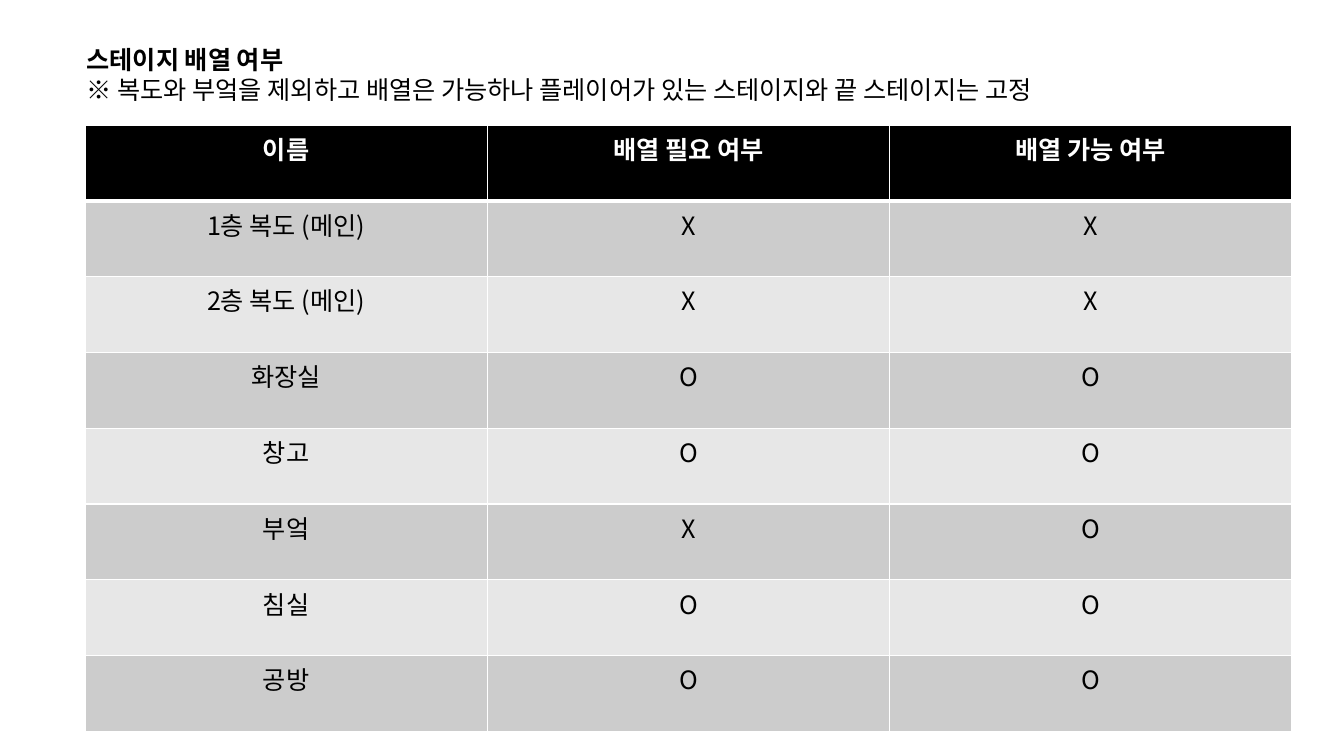
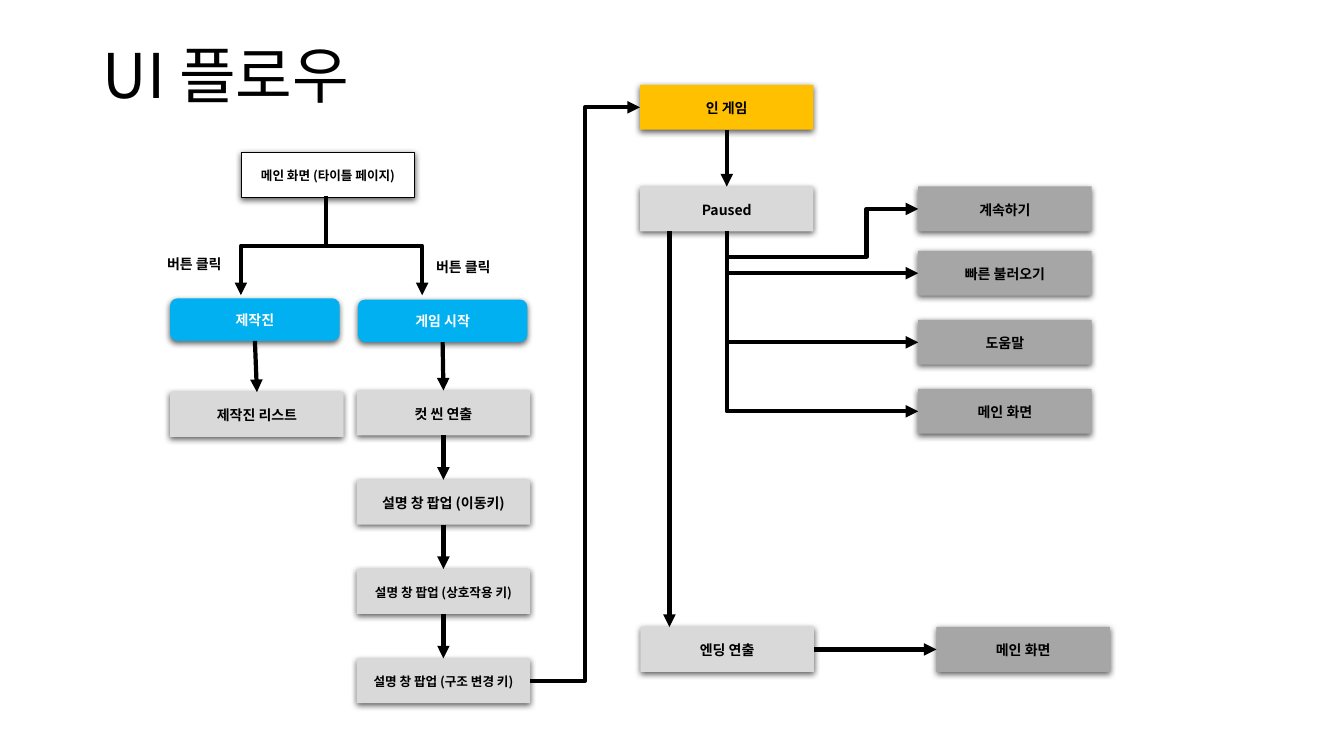
"""Build the stage arrangement table and the UI flow chart."""
from dataclasses import dataclass

from pptx import Presentation
from pptx.dml.color import RGBColor
from pptx.enum.shapes import MSO_CONNECTOR, MSO_SHAPE
from pptx.enum.text import MSO_ANCHOR, PP_ALIGN
from pptx.oxml import parse_xml
from pptx.oxml.ns import nsdecls, qn
from pptx.oxml.xmlchemy import OxmlElement
from pptx.util import Cm, Pt

FONT = "Noto Sans CJK KR"
BLACK, WHITE = "000000", "FFFFFF"
STRIPES = ("CCCCCC", "E7E7E7")
STEP, MENU, BUTTON, GAME = "D9D9D9", "A6A6A6", "00B0F0", "FFC000"
RECT, ROUNDED = MSO_SHAPE.RECTANGLE, MSO_SHAPE.ROUNDED_RECTANGLE
STRAIGHT, ELBOW = MSO_CONNECTOR.STRAIGHT, MSO_CONNECTOR.ELBOW
CENTER, MIDDLE = PP_ALIGN.CENTER, MSO_ANCHOR.MIDDLE
TOP, LEFT, BOTTOM, RIGHT = range(4)
BOX_W, BOX_H = 4.37, 1.13
COLUMN_W, ROW_H = 10.14, 1.91

STAGE_ROWS = (
    ("이름", "배열 필요 여부", "배열 가능 여부"),
    ("1층 복도 (메인)", "X", "X"),
    ("2층 복도 (메인)", "X", "X"),
    ("화장실", "O", "O"),
    ("창고", "O", "O"),
    ("부엌", "X", "O"),
    ("침실", "O", "O"),
    ("공방", "O", "O"),
)


@dataclass(frozen=True)
class Node:
    """One box of the flow chart, in centimetres."""
    label: str
    left: float
    top: float
    fill: str = STEP
    size: float = 10
    width: float = BOX_W
    height: float = BOX_H
    geometry: int = RECT
    color: str = BLACK
    outline: str = ""

    def side(self, index):
        """Return the middle of one side."""
        across = {LEFT: 0, RIGHT: self.width}.get(index, self.width / 2)
        down = {TOP: 0, BOTTOM: self.height}.get(index, self.height / 2)
        return self.left + across, self.top + down


@dataclass(frozen=True)
class Link:
    """A straight arrow between two named nodes."""
    start: str
    end: str
    start_side: int = BOTTOM
    end_side: int = TOP


def button(label, left, top):
    """Return a rounded blue button."""
    return Node(label, left, top, BUTTON, 10, 4.27, 1.07, ROUNDED, WHITE)


MENU_ITEMS = {
    "continue": Node("계속하기", 23.14, 4.7, MENU),
    "load": Node("빠른 불러오기", 23.14, 6.32, MENU),
    "help": Node("도움말", 23.14, 8.06, MENU),
    "quit": Node("메인 화면", 23.14, 9.8, MENU),
}
CUT_STEPS = {
    name: Node(label, 8.99, 9.84 + 2.25 * index, size=size)
    for index, (name, label, size) in enumerate((
        ("cut", "컷 씬 연출", 10),
        ("move", "설명 창 팝업 (이동키)", 10),
        ("interact", "설명 창 팝업 (상호작용 키)", 9),
        ("structure", "설명 창 팝업 (구조 변경 키)", 9),
    ))
}
NODES = {
    "title": Node("메인 화면 (타이틀 페이지)", 6.08, 3.84, WHITE, 9, outline=BLACK),
    "credits": button("제작진", 4.29, 7.52),
    "start": button("게임 시작", 9.02, 7.55),
    "credit_list": Node("제작진 리스트", 4.29, 9.88),
    **CUT_STEPS,
    "game": Node("인 게임", 16.13, 2.14, GAME),
    "paused": Node("Paused", 16.13, 4.7),
    **MENU_ITEMS,
    "ending": Node("엔딩 연출", 16.14, 15.8),
    "finish": Node("메인 화면", 23.6, 15.8, MENU),
}
LINKS = (
    Link("credits", "credit_list"),
    Link("start", "cut"),
    Link("cut", "move"),
    Link("move", "interact"),
    Link("interact", "structure"),
    Link("game", "paused"),
    Link("ending", "finish", RIGHT, LEFT),
)


def rgb(value: str) -> RGBColor:
    """Turn a hex string into a colour."""
    return RGBColor.from_string(value)


def style(paragraph, size: float, color: str = BLACK, bold: bool = False) -> None:
    """Format every run of a paragraph."""
    for run in paragraph.runs:
        font = run.font
        font.size, font.bold, font.name = Pt(size), bold, FONT
        font.color.rgb = rgb(color)
        east_asian = OxmlElement("a:ea")
        east_asian.set("typeface", FONT)
        run.font._element.find(qn("a:latin")).addnext(east_asian)


def add_text(slide, text: str, left: float, top: float, width: float, height: float,
             size: float, bold_first: bool = False):
    """Add a wrapping text box and return its text frame."""
    frame = slide.shapes.add_textbox(Cm(left), Cm(top), Cm(width), Cm(height)).text_frame
    frame.word_wrap = True
    frame.text = text
    for index, paragraph in enumerate(frame.paragraphs):
        style(paragraph, size, bold=bold_first and index == 0)
    return frame


def set_border(cell, side: str, points: float) -> None:
    """Draw one white cell border."""
    cell._tc.get_or_add_tcPr().append(parse_xml(
        f'<a:{side} {nsdecls("a")} w="{Pt(points)}"><a:solidFill>'
        f'<a:srgbClr val="{WHITE}"/></a:solidFill></a:{side}>'))


def add_stage_table(slide) -> None:
    """Draw the stage table with a black header and grey stripes."""
    rows, columns = len(STAGE_ROWS), len(STAGE_ROWS[0])
    table = slide.shapes.add_table(rows, columns, Cm(2.14), Cm(3.15),
                                   Cm(COLUMN_W * columns), Cm(ROW_H * rows)).table
    for column in table.columns:
        column.width = Cm(COLUMN_W)
    for row_index, labels in enumerate(STAGE_ROWS):
        header = row_index == 0
        table.rows[row_index].height = Cm(ROW_H)
        for column_index, label in enumerate(labels):
            cell = table.cell(row_index, column_index)
            for side in ("lnL", "lnR", "lnT", "lnB"):
                thick = (row_index, side) in ((0, "lnB"), (1, "lnT"))
                set_border(cell, side, 3 if thick else 1)
            cell.fill.solid()
            cell.fill.fore_color.rgb = rgb(BLACK if header else STRIPES[(row_index - 1) % 2])
            cell.text_frame.text = label
            paragraph = cell.text_frame.paragraphs[0]
            paragraph.alignment = CENTER
            style(paragraph, 18, WHITE if header else BLACK, header)


def add_node(slide, node: Node):
    """Draw one flow box with a soft shadow."""
    shape = slide.shapes.add_shape(node.geometry, Cm(node.left), Cm(node.top),
                                   Cm(node.width), Cm(node.height))
    shape.fill.solid()
    shape.fill.fore_color.rgb = rgb(node.fill)
    if node.outline:
        shape.line.color.rgb = rgb(node.outline)
        shape.line.width = Pt(0.75)
    else:
        shape.line.fill.background()
    shape.shadow.inherit = False
    shape._element.spPr.find(qn("a:effectLst")).append(parse_xml(
        f'<a:outerShdw {nsdecls("a")} blurRad="{Pt(4.5)}" dist="{Pt(1.5)}" dir="5400000" '
        f'algn="ctr" rotWithShape="0"><a:srgbClr val="{BLACK}"><a:alpha val="63000"/>'
        '</a:srgbClr></a:outerShdw>'))
    frame = shape.text_frame
    frame.word_wrap = True
    frame.vertical_anchor = MIDDLE
    frame.text = node.label
    paragraph = frame.paragraphs[0]
    paragraph.alignment = CENTER
    paragraph.line_spacing, paragraph.space_after = 1.07, Pt(8)
    style(paragraph, node.size, node.color, True)
    return shape


def add_arrow(slide, start: tuple, end: tuple, kind: int = STRAIGHT):
    """Draw a thick black arrow between two points."""
    arrow = slide.shapes.add_connector(kind, *(Cm(value) for value in (*start, *end)))
    arrow.line.color.rgb = rgb(BLACK)
    arrow.line.width = Pt(3)
    arrow.line._get_or_add_ln().append(OxmlElement("a:tailEnd"))
    arrow.line._get_or_add_ln().find(qn("a:tailEnd")).set("type", "triangle")
    arrow._element.spPr.append(OxmlElement("a:effectLst"))
    return arrow


def turn_down(arrow, start: tuple, end: tuple, preset: str, bends: tuple = ()) -> None:
    """Make an elbow arrow leave its start vertically."""
    across, down = end[0] - start[0], end[1] - start[1]
    width, height = abs(down), abs(across)
    arrow.left = Cm((start[0] + end[0] - width) / 2)
    arrow.top = Cm((start[1] + end[1] - height) / 2)
    arrow.width, arrow.height = Cm(width), Cm(height)
    forward = across > 0 and down > 0
    frame = arrow._element.spPr.find(qn("a:xfrm"))
    frame.set("rot", str((270 if forward else 90) * 60000))
    frame.set("flipH", str(int(forward or down < 0)))
    frame.set("flipV", str(int(across > 0 and not forward)))
    geometry = arrow._element.spPr.find(qn("a:prstGeom"))
    geometry.set("prst", preset)
    for number, bend in enumerate(bends, 1):
        guide = OxmlElement("a:gd")
        guide.set("name", f"adj{number}")
        guide.set("fmla", f"val {round(bend * 100000)}")
        geometry.get_or_add_avLst().append(guide)


def add_flow(slide) -> None:
    """Draw the boxes and the arrows between them."""
    shapes = {name: add_node(slide, node) for name, node in NODES.items()}
    for link in LINKS:
        arrow = add_arrow(slide, NODES[link.start].side(link.start_side),
                          NODES[link.end].side(link.end_side))
        arrow.begin_connect(shapes[link.start], link.start_side)
        arrow.end_connect(shapes[link.end], link.end_side)
    add_arrow(slide, (16.87, 5.82), (16.87, 15.8))

    fork = (8.21, 4.95)
    for target in ((6.07, 7.44), (10.64, 7.44)):
        turn_down(add_arrow(slide, fork, target, ELBOW), fork, target, "bentConnector3")

    to_game = add_arrow(slide, NODES["structure"].side(RIGHT), NODES["game"].side(LEFT), ELBOW)
    to_game.begin_connect(shapes["structure"], RIGHT)
    to_game.end_connect(shapes["game"], LEFT)

    start = NODES["paused"].side(BOTTOM)
    for name, item in MENU_ITEMS.items():
        end = item.side(LEFT)
        arrow = add_arrow(slide, start, end, ELBOW)
        arrow.begin_connect(shapes["paused"], BOTTOM)
        arrow.end_connect(shapes[name], LEFT)
        if end[1] < start[1]:
            turn_down(arrow, start, end, "bentConnector4", (-1.13, 0.73))
        else:
            turn_down(arrow, start, end, "bentConnector2")


def main() -> None:
    """Build and save both slides."""
    deck = Presentation()
    deck.slide_width, deck.slide_height = Cm(33.87), Cm(19.05)
    blank = deck.slide_layouts[6]

    stages = deck.slides.add_slide(blank)
    add_stage_table(stages)
    add_text(stages, "스테이지 배열 여부\n※ 복도와 부엌을 제외하고 배열은 가능하나 "
             "플레이어가 있는 스테이지와 끝 스테이지는 고정", 1.93, 0.99, 30.63, 1.8, 18, True)

    flow = deck.slides.add_slide(blank)
    heading = add_text(flow, "UI 플로우", 2.34, 1.02, 29.21, 3.68, 44)
    heading.paragraphs[0].line_spacing = 0.9
    add_flow(flow)
    for left, top in ((3.96, 6.32), (10.74, 6.38)):
        add_text(flow, "버튼 클릭", left, top, 2.39, 0.69, 10, True)

    deck.save("out.pptx")


if __name__ == "__main__":
    main()
